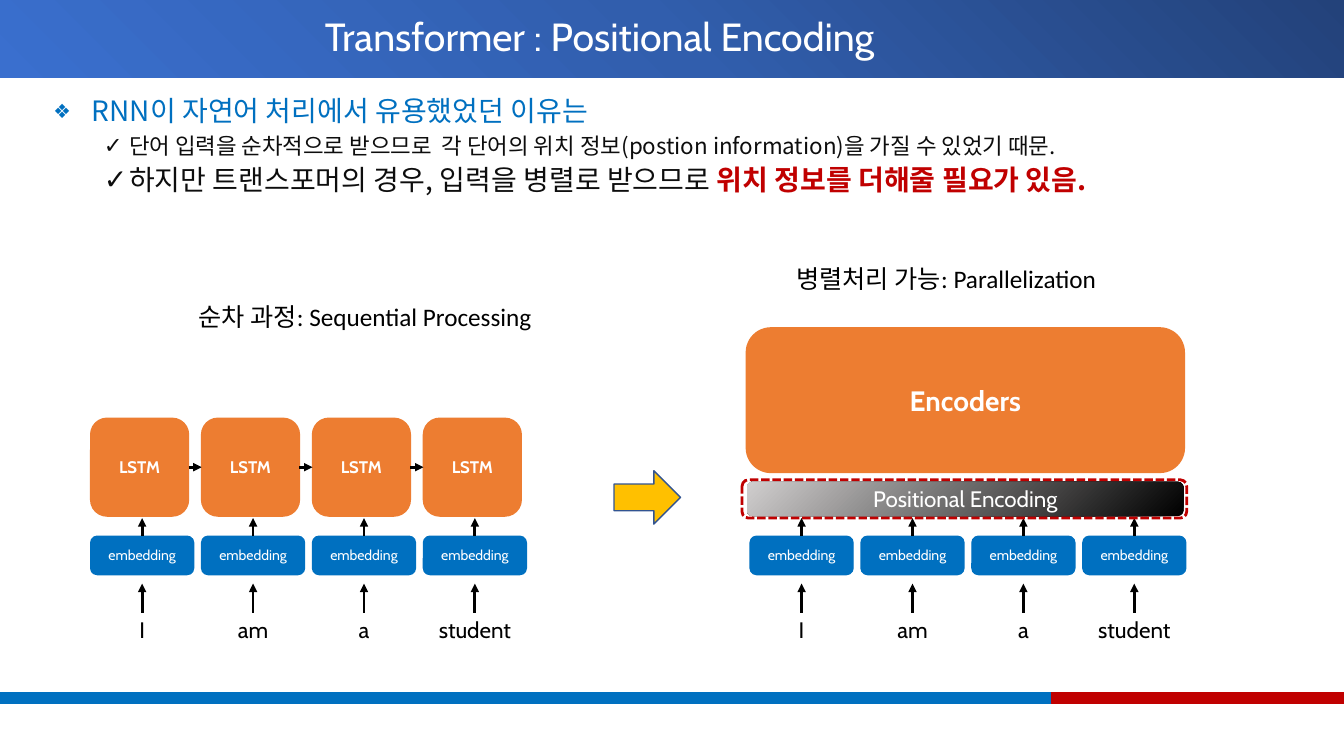
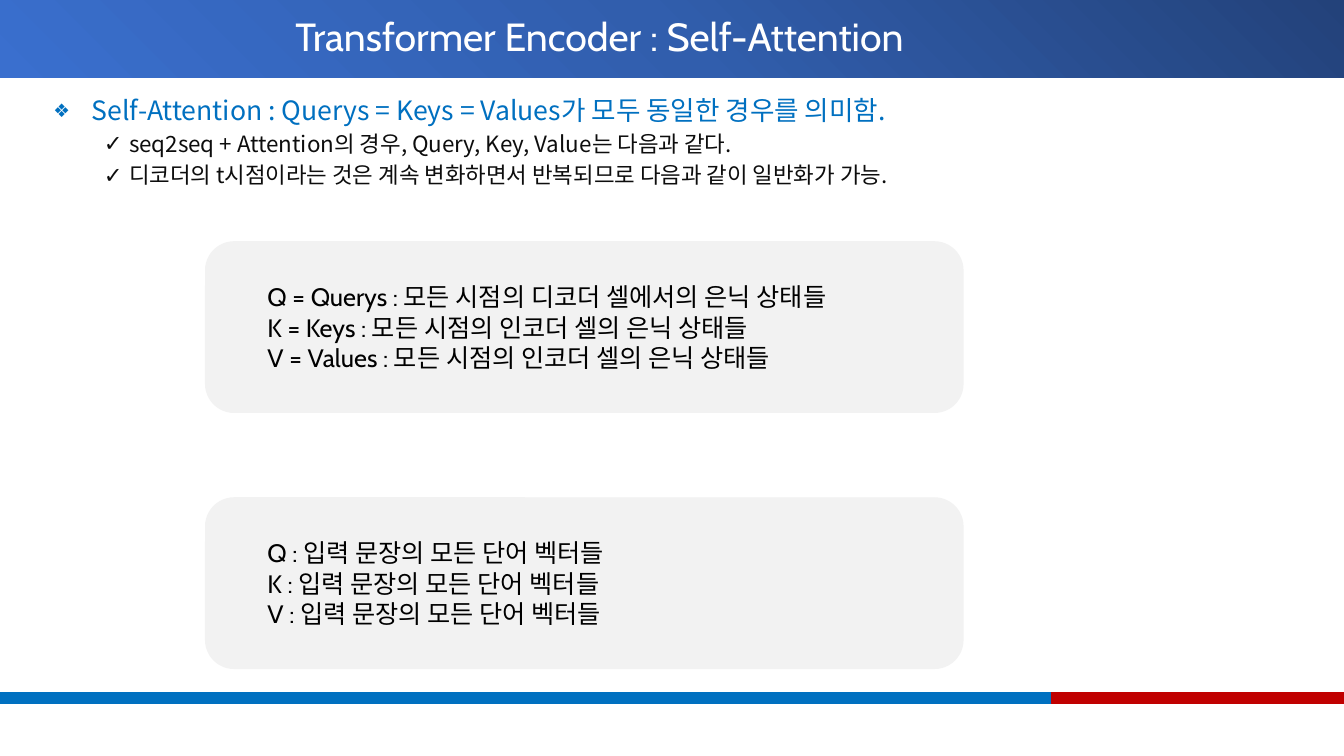
from dataclasses import dataclass

from lxml.etree import SubElement
from pptx import Presentation
from pptx.dml.color import RGBColor
from pptx.enum.dml import MSO_LINE
from pptx.enum.shapes import MSO_CONNECTOR, MSO_SHAPE
from pptx.enum.text import MSO_ANCHOR, MSO_AUTO_SIZE, PP_ALIGN
from pptx.oxml import parse_xml
from pptx.oxml.ns import nsdecls, qn
from pptx.util import Inches, Pt


@dataclass(frozen=True)
class Theme:
    blue: str = "0070C0"
    red: str = "C00000"
    orange: str = "ED7D31"
    yellow: str = "FFC000"
    arrow_outline: str = "325491"
    panel: str = "F2F2F2"
    ink: str = "0D0D0D"
    black: str = "000000"
    white: str = "FFFFFF"
    band_stops: tuple = ((0, "23427A"), (50, "315EAD"), (100, "3A6FCE"))
    encoding_stops: tuple = ((0, "D0CECE"), (100, "000000"))
    display_font: str = "Cabin"
    body_font: str = "Noto Sans CJK KR"
    caption_font: str = "Calibri"
    title_size: int = 28
    large_size: int = 20
    heading_size: int = 19
    note_size: int = 18
    detail_size: int = 16
    cell_size: int = 12
    small_size: int = 10


@dataclass(frozen=True)
class Box:
    left: float
    top: float
    width: float
    height: float

    @property
    def right(self):
        return self.left + self.width

    @property
    def center(self):
        return self.left + self.width / 2

    def inches(self):
        return [Inches(n) for n in (self.left, self.top, self.width, self.height)]


@dataclass(frozen=True)
class Span:
    text: str
    size: int
    color: str
    font: str = "Cabin"
    bold: bool = False


THEME = Theme()
PAGE = Box(0, 0, 13.33, 7.5)
TITLE = Box(0.43, 0, 11.03, 0.77)
BODY = Box(0.43, 0.92, 12.63, 5.8)
WORDS = ("I", "am", "a", "student")
COLUMN_STEP = 1.1


def add_span(para, span):
    run = para.add_run()
    run.text = span.text
    font = run.font
    font.name = span.font
    font.size = Pt(span.size)
    font.bold = span.bold
    font.color.rgb = RGBColor.from_string(span.color)
    east_asian = SubElement(run._r.get_or_add_rPr(), qn("a:ea"))
    east_asian.set("typeface", THEME.body_font)


def write_lines(frame, lines, align=PP_ALIGN.LEFT):
    """Write one paragraph for each span in lines."""
    frame.word_wrap = True
    for number, span in enumerate(lines):
        para = frame.add_paragraph() if number else frame.paragraphs[0]
        para.alignment = align
        add_span(para, span)


def add_text(page, box, span, align=PP_ALIGN.LEFT):
    write_lines(page.shapes.add_textbox(*box.inches()).text_frame, [span], align)


def add_block(page, box, kind, fill=None, line=None, line_width=1, label=None):
    block = page.shapes.add_shape(kind, *box.inches())
    block.shadow.inherit = False
    if fill:
        block.fill.solid()
        block.fill.fore_color.rgb = RGBColor.from_string(fill)
    else:
        block.fill.background()
    if line:
        block.line.color.rgb = RGBColor.from_string(line)
        block.line.width = Pt(line_width)
    else:
        block.line.fill.background()
    if label:
        block.text_frame.vertical_anchor = MSO_ANCHOR.MIDDLE
        write_lines(block.text_frame, [label], PP_ALIGN.CENTER)
    return block


def set_radial_gradient(block, stops, focus):
    """Fill from a corner; focus names the two edges set to 100 percent."""
    colors = "".join(
        f'<a:gs pos="{place * 1000}"><a:srgbClr val="{color}"/></a:gs>'
        for place, color in stops)
    edges = " ".join(f'{edge}="100000"' for edge in focus)
    gradient = parse_xml(
        f'<a:gradFill {nsdecls("a")} rotWithShape="1"><a:gsLst>{colors}</a:gsLst>'
        f'<a:path path="circle"><a:fillToRect {edges}/></a:path></a:gradFill>')
    properties = block.element.spPr
    properties.replace(properties.find(qn("a:noFill")), gradient)


def add_arrow(page, start, end, source=None, target=None):
    """Draw an arrow; source and target are (shape, side) pairs to join."""
    arrow = page.shapes.add_connector(
        MSO_CONNECTOR.STRAIGHT, *[Inches(n) for n in (*start, *end)])
    arrow.line.color.rgb = RGBColor.from_string(THEME.black)
    arrow.line.width = Pt(2)
    SubElement(arrow.line._get_or_add_ln(), qn("a:tailEnd")).set("type", "triangle")
    SubElement(arrow.element.spPr, qn("a:effectLst"))
    if source:
        arrow.begin_connect(*source)
    if target:
        arrow.end_connect(*target)


def build_layout(deck):
    """Place the shared placeholders, title band and footer on one layout."""
    layout = deck.slide_layouts[1]
    for holder in list(layout.placeholders):
        index = holder.placeholder_format.idx
        if index > 1:
            holder.element.getparent().remove(holder.element)
        else:
            area = BODY if index else TITLE
            holder.left, holder.top, holder.width, holder.height = area.inches()
    draft = deck.slides.add_slide(layout)
    band = add_block(draft, Box(0, 0, PAGE.width, TITLE.height), MSO_SHAPE.RECTANGLE)
    set_radial_gradient(band, THEME.band_stops, "lb")
    blocks = [band]
    for left, right, color in ((0, 10.43, THEME.blue), (10.43, PAGE.right, THEME.red)):
        blocks.append(add_block(draft, Box(left, 6.87, right - left, 0.11),
                                MSO_SHAPE.RECTANGLE, color, color))
    for place, block in enumerate(blocks, start=2):
        layout.shapes.element.insert(place, block.element)
    return layout, draft


def write_title(page, text):
    frame = page.shapes.title.text_frame
    frame.auto_size = MSO_AUTO_SIZE.NONE
    frame.vertical_anchor = MSO_ANCHOR.MIDDLE
    write_lines(frame, [Span(text, THEME.title_size, THEME.white)], PP_ALIGN.CENTER)
    frame.paragraphs[0].line_spacing = 0.9


def set_bullet(para, mark, indent, hanging, percent):
    properties = para._p.get_or_add_pPr()
    properties.set("marL", str(Inches(indent)))
    properties.set("indent", str(-Inches(hanging)))
    SubElement(properties, qn("a:buSzPct")).set("val", str(percent * 1000))
    SubElement(properties, qn("a:buChar")).set("char", mark)


def write_body(page, items):
    """Write a heading and its check-marked details, each a list of spans."""
    frame = page.placeholders[1].text_frame
    frame.auto_size = MSO_AUTO_SIZE.NONE
    for number, spans in enumerate(items):
        para = frame.add_paragraph() if number else frame.paragraphs[0]
        para.level = 1 if number else 0
        para.line_spacing = 0.9
        para.space_before = Pt(5 if number else 10)
        if number:
            set_bullet(para, "✓", 0.75, 0.25, 100)
        else:
            set_bullet(para, "❖", 0.38, 0.38, 70)
        for span in spans:
            add_span(para, span)


def body_span(text, size=THEME.detail_size, color=THEME.ink, bold=False):
    return Span(text, size, color, THEME.body_font, bold)


def draw_embeddings(page, box):
    """Draw the words and embeddings, with arrows that rise to the box's top."""
    for number, word in enumerate(WORDS):
        cell = Box(box.left + number * COLUMN_STEP, box.top + 0.18, 1.02, 0.38)
        embedding = add_block(page, cell, MSO_SHAPE.ROUNDED_RECTANGLE,
                              THEME.blue, THEME.blue,
                              label=Span("embedding", THEME.small_size, THEME.white))
        add_arrow(page, (cell.center, cell.top), (cell.center, box.top),
                  source=(embedding, 0))
        add_arrow(page, (cell.center, cell.top + 0.76), (cell.center, cell.top + 0.47))
        add_text(page, Box(cell.center - 0.56, cell.top + 0.74, 1.12, 0.37),
                 Span(word, THEME.detail_size, THEME.black), PP_ALIGN.CENTER)


def draw_sequential(page, box):
    draw_embeddings(page, Box(box.left, box.top + 0.99, box.width, 1.29))
    side = 0.97
    previous = None
    for number in range(len(WORDS)):
        cell = Box(box.left + number * COLUMN_STEP, box.top, side, side)
        lstm = add_block(page, cell, MSO_SHAPE.ROUNDED_RECTANGLE,
                         THEME.orange, THEME.orange,
                         label=Span("LSTM", THEME.cell_size, THEME.white, bold=True))
        if previous:
            middle = cell.top + side / 2
            add_arrow(page, (cell.left - COLUMN_STEP + side, middle),
                      (cell.left, middle), (previous, 3), (lstm, 1))
        previous = lstm


def draw_parallel(page, box):
    rounded = MSO_SHAPE.ROUNDED_RECTANGLE
    add_block(page, Box(box.left, box.top, box.width, 1.42), rounded,
              THEME.orange, THEME.orange, 2,
              Span("Encoders", THEME.large_size, THEME.white, bold=True))
    draw_embeddings(page, Box(box.left + 0.03, box.top + 1.88, box.width, 1.29))
    encoding = add_block(
        page, Box(box.left, box.top + 1.52, box.width, 0.34), rounded,
        label=Span("Positional Encoding", THEME.detail_size, THEME.white))
    set_radial_gradient(encoding, THEME.encoding_stops, "rb")
    frame = add_block(page, Box(box.left - 0.05, box.top + 1.5, box.width + 0.08, 0.38),
                      rounded, line=THEME.red, line_width=2)
    frame.line.dash_style = MSO_LINE.SQUARE_DOT


def draw_note(page, box, lines):
    note = add_block(page, box, MSO_SHAPE.ROUNDED_RECTANGLE, THEME.panel, THEME.panel)
    frame = note.text_frame
    frame.margin_left = Inches(0.53)
    frame.vertical_anchor = MSO_ANCHOR.MIDDLE
    write_lines(frame, [Span(line, THEME.note_size, THEME.black) for line in lines])


def build_positional_encoding(page):
    write_title(page, "Transformer : Positional Encoding")
    write_body(page, [
        [body_span("RNN이 자연어 처리에서 유용했었던 이유는", THEME.large_size, THEME.blue)],
        [body_span("단어 입력을 순차적으로 받으므로  각 단어의 위치 정보(postion information)을 "
                   "가질 수 있었기 때문.")],
        [body_span("하지만 트랜스포머의 경우, 입력을 병렬로 받으므로 ", THEME.large_size),
         body_span("위치 정보를 더해줄 필요가 있음.", THEME.large_size, THEME.red, True)],
    ])
    draw_sequential(page, Box(0.9, 4.15, 4.33, 2.28))
    draw_parallel(page, Box(7.41, 3.26, 4.33, 3.17))
    for box, caption in (
            (Box(1.87, 2.94, 3.68, 0.4), "순차 과정: Sequential Processing"),
            (Box(7.8, 2.56, 3.45, 0.4), "병렬처리 가능: Parallelization")):
        add_text(page, box,
                 Span(caption, THEME.note_size, THEME.black, THEME.caption_font))
    add_block(page, Box(6.09, 4.67, 0.66, 0.53), MSO_SHAPE.RIGHT_ARROW,
              THEME.yellow, THEME.arrow_outline)


def build_self_attention(page):
    write_title(page, "Transformer Encoder : Self-Attention")
    write_body(page, [
        [body_span("Self-Attention : Querys = Keys = Values가 모두 동일한 경우를 의미함.",
                   THEME.heading_size, THEME.blue)],
        [body_span("seq2seq + Attention의 경우, Query, Key, Value는 다음과 같다.")],
        [body_span("디코더의 t시점이라는 것은 계속 변화하면서 반복되므로 다음과 같이 일반화가 가능.")],
    ])
    draw_note(page, Box(2.04, 2.4, 7.51, 1.69), [
        "Q = Querys : 모든 시점의 디코더 셀에서의 은닉 상태들",
        "K = Keys : 모든 시점의 인코더 셀의 은닉 상태들",
        "V = Values : 모든 시점의 인코더 셀의 은닉 상태들",
    ])
    draw_note(page, Box(2.04, 4.94, 7.51, 1.69),
              [f"{name} : 입력 문장의 모든 단어 벡터들" for name in "QKV"])


def main():
    deck = Presentation()
    deck.slide_width, deck.slide_height = Inches(PAGE.width), Inches(PAGE.height)
    layout, first_page = build_layout(deck)
    build_positional_encoding(first_page)
    build_self_attention(deck.slides.add_slide(layout))
    deck.save("out.pptx")


if __name__ == "__main__":
    main()
